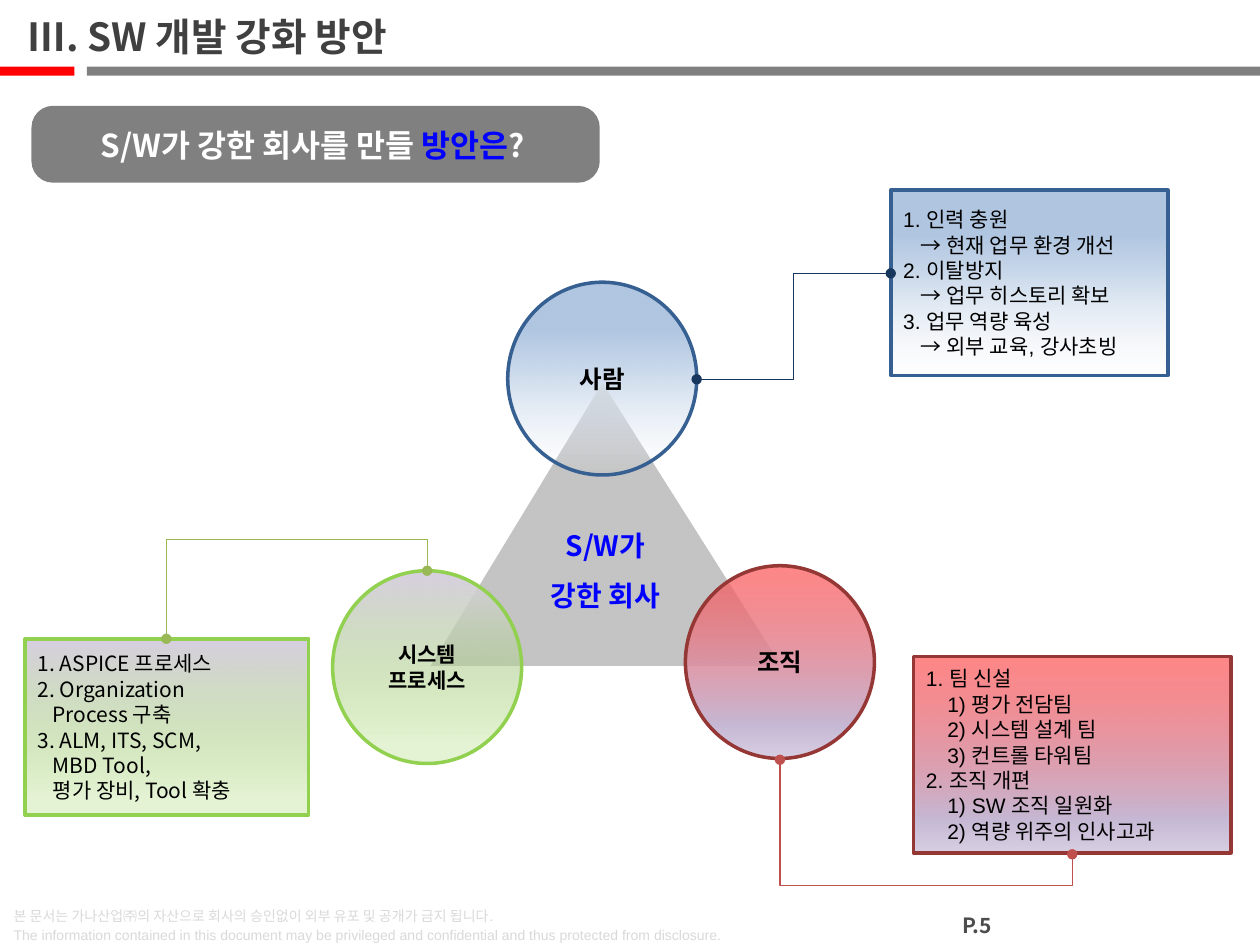
import pptx
import pptx.util
import pptx.dml.color
import pptx.enum.shapes
import pptx.enum.text
import pptx.oxml
import pptx.oxml.ns
from lxml import etree

Inches, Pt = pptx.util.Inches, pptx.util.Pt
RGB = pptx.dml.color.RGBColor
SHAPE = pptx.enum.shapes.MSO_SHAPE
ALIGN = pptx.enum.text.PP_ALIGN
ANCHOR = pptx.enum.text.MSO_ANCHOR
qn = pptx.oxml.ns.qn

SANS, ARIAL = "Noto Sans CJK KR", "Arial"
BLACK, WHITE = RGB(0, 0, 0), RGB(255, 255, 255)
RED, GRAY, BLUE = RGB(255, 0, 0), RGB(0x80, 0x80, 0x80), RGB(0, 0, 255)
TITLE, PAGE, NOTICE = RGB(0x40, 0x40, 0x40), RGB(0x4D, 0x4D, 0x4D), RGB(0xD9, 0xD9, 0xD9)
NAVY, MAROON, GREEN = RGB(0x37, 0x60, 0x92), RGB(0x95, 0x37, 0x35), RGB(0x92, 0xD0, 0x50)
NAVY_LINK, RED_LINK, GREEN_LINK = RGB(0x17, 0x37, 0x5E), RGB(0xC0, 0x50, 0x4D), RGB(0x98, 0xB9, 0x55)
SKY, PALE_SKY, ICE = RGB(0xB0, 0xC6, 0xE1), RGB(0xCA, 0xD9, 0xEB), RGB(0xED, 0xF2, 0xF8)
CORAL, LILAC, PALE_LILAC = RGB(0xFF, 0x4D, 0x4D), RGB(0xC6, 0xB9, 0xD5), RGB(0xD9, 0xD0, 0xE3)
SAND, SILVER = RGB(0xE8, 0xD8, 0xAA), RGB(0xA6, 0xA6, 0xA6)

# Gradient stops: position %, colour, opacity %
PEOPLE = [(0, SKY, 100), (24, SKY, 100), (45, PALE_SKY, 100), (100, ICE, 0)]
TEAM = [(0, CORAL, 67), (83, LILAC, 100), (100, PALE_LILAC, 100)]
SYSTEM = [(0, PALE_LILAC, 100), (91, GREEN, 23)]
CORE = [(0, SAND, 100), (11, SILVER, 66)]

CIRCLE_W, CIRCLE_H = 1.5, 1.53
# left, top, gradient, outline, label lines, label size
CIRCLES = [
    (4.03, 2.24, PEOPLE, NAVY, ["사람"], 14),
    (5.44, 4.49, TEAM, MAROON, ["조직"], 14),
    (2.64, 4.53, SYSTEM, GREEN, ["시스템", "프로세스"], 12),
]
# box, gradient, outline, font, sub-item indent, (level, line) pairs
DETAILS = [
    ((7.07, 1.51, 2.2, 1.47), PEOPLE, NAVY, ARIAL, 0.14, [
        (0, "1. 인력 충원"), (1, "→ 현재 업무 환경 개선"),
        (0, "2. 이탈방지"), (1, "→ 업무 히스토리 확보"),
        (0, "3. 업무 역량 육성"), (1, "→ 외부 교육, 강사초빙")]),
    ((7.25, 5.21, 2.52, 1.56), TEAM, MAROON, ARIAL, 0.17, [
        (0, "1. 팀 신설"), (1, "1) 평가 전담팀"), (1, "2) 시스템 설계 팀"),
        (1, "3) 컨트롤 타워팀"), (0, "2. 조직 개편"),
        (1, "1) SW 조직 일원화"), (1, "2) 역량 위주의 인사고과")]),
    ((0.2, 5.07, 2.25, 1.4), SYSTEM, GREEN, SANS, 0.12, [
        (0, "1. ASPICE 프로세스"), (0, "2. Organization"), (1, "Process 구축"),
        (0, "3. ALM, ITS, SCM,"), (1, "MBD Tool,"), (1, "평가 장비, Tool 확충")]),
]
# begin, end, colour, leaves vertically, bend as a share of the run
LINKS = [
    ((3.39, 4.53), (1.32, 5.07), GREEN_LINK, True, -0.46),
    ((7.07, 2.17), (5.53, 3.01), NAVY_LINK, False, 0.5),
    ((8.51, 6.78), (6.19, 6.03), RED_LINK, True, -0.33),
]
FOOTER = [
    "본 문서는 가나산업㈜의 자산으로 회사의 승인없이 외부 유포 및 공개가 금지 됩니다.",
    "The information contained in this document may be privileged and confidential "
    "and thus protected from disclosure.",
]


def write(s, lines, size, color=BLACK, font=SANS, bold=False, align=ALIGN.LEFT,
          anchor=ANCHOR.TOP, spacing=1.21, indent=0):
    """Each line is a string, a (level, string) pair or a list of (string, colour) runs."""
    tf = s.text_frame
    tf.word_wrap = True
    tf.vertical_anchor = anchor
    for i, line in enumerate(lines):
        p = tf.add_paragraph() if i else tf.paragraphs[0]
        level, content = line if isinstance(line, tuple) else (1, line)
        runs = content if isinstance(content, list) else [(content, color)]
        p.alignment = align
        p.line_spacing = Pt(round(size * spacing, 1))
        p.space_before = Pt(0)
        p._p.get_or_add_pPr().set("marL", str(Inches(level * indent)))
        for text, run_color in runs:
            r = p.add_run()
            r.text = text
            r.font.size, r.font.bold, r.font.name = Pt(size), bold, font
            r.font.color.rgb = run_color
            etree.SubElement(r.font._element, qn("a:ea")).set("typeface", SANS)


def add_text(box, lines, size, **style):
    write(slide.shapes.add_textbox(*map(Inches, box)), lines, size, **style)


def add_shape(kind, box, fill, outline=None):
    """A list as fill is a top-to-bottom gradient."""
    s = slide.shapes.add_shape(kind, *map(Inches, box))
    s.shadow.inherit = False
    if isinstance(fill, list):
        s.fill.gradient()
        grad = s._element.spPr.find(qn("a:gradFill"))
        for child in list(grad):
            grad.remove(child)
        stops = etree.SubElement(grad, qn("a:gsLst"))
        for pos, color, opacity in fill:
            stop = etree.SubElement(stops, qn("a:gs"), pos=str(pos * 1000))
            clr = etree.SubElement(stop, qn("a:srgbClr"), val=str(color))
            etree.SubElement(clr, qn("a:alpha"), val=str(opacity * 1000))
        etree.SubElement(grad, qn("a:lin"), ang="5400000", scaled="0")
    else:
        s.fill.solid()
        s.fill.fore_color.rgb = fill
    if outline is None:
        s.line.fill.background()
    else:
        s.line.color.rgb, s.line.width = outline, Pt(2)
    return s


def add_link(begin, end, color, vertical, bend):
    """Elbow connector; a vertical one is laid out sideways and turned by 90 degrees."""
    cx, cy = ((a + b) / 2 for a, b in zip(begin, end))
    ends = [(cx + y - cy, cy - x + cx) if vertical else (x, y) for x, y in (begin, end)]
    s = slide.shapes.add_connector(pptx.enum.shapes.MSO_CONNECTOR.ELBOW,
                                   *(Inches(v) for point in ends for v in point))
    s.line.color.rgb, s.line.width = color, Pt(0.75)
    spPr = s._element.spPr
    if vertical:
        spPr.find(qn("a:xfrm")).set("rot", "5400000")
    guides = spPr.find(qn("a:prstGeom")).get_or_add_avLst()
    etree.SubElement(guides, qn("a:gd"), name="adj1", fmla=f"val {round(bend * 100000)}")
    ln = spPr.find(qn("a:ln"))
    for tip in ("a:headEnd", "a:tailEnd"):
        etree.SubElement(ln, qn(tip), type="oval")
    etree.SubElement(spPr, qn("a:effectLst"))


prs = pptx.Presentation()
prs.slide_width, prs.slide_height = Inches(10), Inches(7.5)
slide = prs.slides.add_slide(prs.slide_layouts[5])

add_shape(SHAPE.RECTANGLE, (0, 0.53, 0.59, 0.07), RED)
add_shape(SHAPE.RECTANGLE, (0.69, 0.53, 9.31, 0.07), GRAY)
add_text((0.01, 7.13, 7.4, 0.41), FOOTER, 8, color=NOTICE, font=ARIAL, spacing=1.375)
add_text((7.36, 7.19, 0.79, 0.31), ["P.5"], 12, color=PAGE, bold=True, align=ALIGN.CENTER)

title = slide.shapes.title
title.left, title.top, title.width, title.height = map(Inches, (0.2, 0.05, 9.44, 0.47))
title.text_frame.margin_left = Inches(0.02)
write(title, ["Ⅲ. SW 개발 강화 방안"], 22.1, color=TITLE, bold=True, anchor=ANCHOR.MIDDLE)

triangle = add_shape(SHAPE.ISOSCELES_TRIANGLE, (3.39, 3.01, 2.84, 2.29), CORE, WHITE)
triangle.adjustments[0] = 0.49
for left, top, fill, outline, label, size in CIRCLES:
    add_shape(SHAPE.FLOWCHART_CONNECTOR, (left, top, CIRCLE_W, CIRCLE_H), fill, outline)
    label_h = 0.1 + len(label) * size * 1.2 / 72
    add_text((left + 0.2, top + (CIRCLE_H - label_h) / 2, CIRCLE_W - 0.4, label_h),
             label, size, bold=True, align=ALIGN.CENTER)
add_text((3.96, 4.01, 1.69, 0.86), ["S/W가", "강한 회사"], 16, color=BLUE, bold=True,
         align=ALIGN.CENTER, spacing=1.8)

for box, fill, outline, font, indent, lines in DETAILS:
    write(add_shape(SHAPE.RECTANGLE, box, fill, outline), lines, 12, font=font,
          anchor=ANCHOR.MIDDLE, indent=indent)

banner = add_shape(SHAPE.ROUNDED_RECTANGLE, (0.25, 0.84, 4.51, 0.61), GRAY)
banner.adjustments[0] = 0.28
write(banner, [[("S/W가 강한 회사를 만들 ", WHITE), ("방안은", BLUE), ("?", WHITE)]], 18,
      bold=True, anchor=ANCHOR.MIDDLE, indent=0.4)

for link in LINKS:
    add_link(*link)

prs.save("out.pptx")
